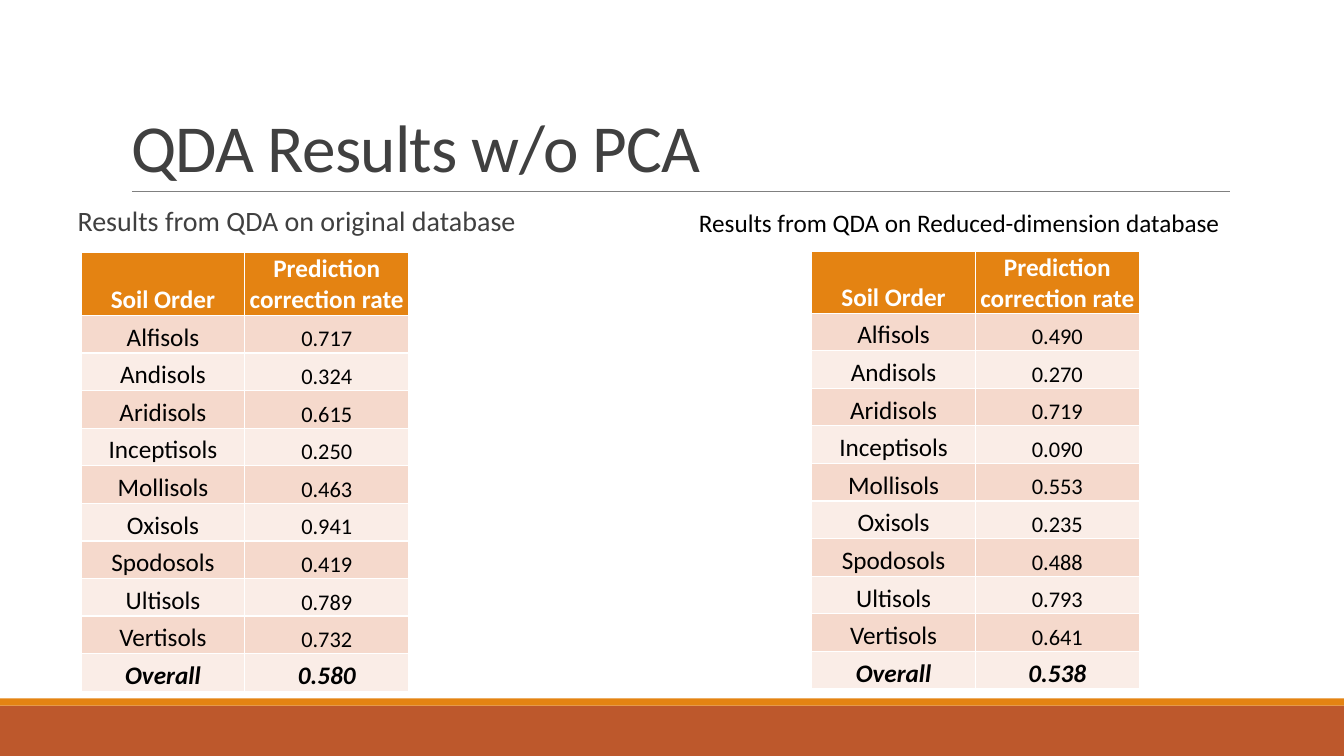
from lxml import etree
from pptx import Presentation
from pptx.dml.color import RGBColor
from pptx.enum.shapes import MSO_CONNECTOR, MSO_SHAPE
from pptx.enum.text import MSO_ANCHOR, MSO_AUTO_SIZE, PP_ALIGN
from pptx.oxml.ns import qn
from pptx.util import Pt

RECTANGLE = MSO_SHAPE.RECTANGLE
STRAIGHT = MSO_CONNECTOR.STRAIGHT
BOTTOM, TOP = MSO_ANCHOR.BOTTOM, MSO_ANCHOR.TOP
LEFT, CENTER = PP_ALIGN.LEFT, PP_ALIGN.CENTER
NO_AUTOFIT, GROW = MSO_AUTO_SIZE.NONE, MSO_AUTO_SIZE.SHAPE_TO_FIT_TEXT

SLIDE_WIDTH, SLIDE_HEIGHT = 960, 540
ORANGE, RUST, GRAY, DARK = "E48312", "BD582C", "808080", "404040"
WHITE, BLACK = "FFFFFF", "000000"
BANDS = ["F5D9CC", "FAEDE7"]

HEADINGS = ["Soil Order", "Prediction correction rate"]
SOIL_ORDERS = ["Alfisols", "Andisols", "Aridisols", "Inceptisols", "Mollisols",
               "Oxisols", "Spodosols", "Ultisols", "Vertisols", "Overall"]
FULL_RATES = ["0.717", "0.324", "0.615", "0.250", "0.463",
              "0.941", "0.419", "0.789", "0.732", "0.580"]
REDUCED_RATES = ["0.490", "0.270", "0.719", "0.090", "0.553",
                 "0.235", "0.488", "0.793", "0.641", "0.538"]


def rgb(color):
    return RGBColor.from_string(color)


def place(shape, left, top, width, height):
    shape.left, shape.top = Pt(left), Pt(top)
    shape.width, shape.height = Pt(width), Pt(height)


def style(paragraph, size, color, bold=False, italic=False):
    font = paragraph.font
    font.name, font.size = "Calibri", Pt(size)
    font.bold, font.italic = bold, italic
    font.color.rgb = rgb(color)


def add_band(slide, top, height, color):
    band = slide.shapes.add_shape(
        RECTANGLE, 0, Pt(top), Pt(SLIDE_WIDTH), Pt(height))
    band.shadow.inherit = False
    band.fill.solid()
    band.fill.fore_color.rgb = rgb(color)
    band.line.fill.background()


def add_rule(slide, left, right, y):
    rule = slide.shapes.add_connector(STRAIGHT, Pt(left), Pt(y), Pt(right), Pt(y))
    rule.line.color.rgb = rgb(GRAY)
    rule.line.width = Pt(0.5)
    etree.SubElement(rule._element.spPr, qn("a:effectLst"))


def fill_title(title, text):
    place(title, 86.4, 22.3, 792, 114.5)
    frame = title.text_frame
    frame.text = text
    frame.auto_size = NO_AUTOFIT
    frame.vertical_anchor = BOTTOM
    heading = frame.paragraphs[0]
    heading.alignment = LEFT
    heading.line_spacing = 0.85
    style(heading, 48, DARK)
    heading.runs[0].font._element.set("spc", "-50")


def fill_body(body, text):
    place(body, 48.2, 144.7, 792, 316.8)
    frame = body.text_frame
    frame.text = text
    frame.auto_size = NO_AUTOFIT
    frame.vertical_anchor = TOP
    frame.margin_left = frame.margin_right = 0
    caption = frame.paragraphs[0]
    caption.line_spacing = 0.9
    caption.space_before, caption.space_after = Pt(12), Pt(2)
    style(caption, 20, DARK)
    properties = caption._p.get_or_add_pPr()
    properties.set("marL", str(Pt(7.2)))
    properties.set("indent", str(Pt(-7.2)))
    bullet = etree.Element(qn("a:buChar"), char=" ")
    bullet_color = etree.Element(qn("a:buClr"))
    etree.SubElement(bullet_color, qn("a:srgbClr"), val=ORANGE)
    position = properties.index(properties.find(qn("a:defRPr")))
    properties.insert(position, bullet)
    properties.insert(position, bullet_color)


def add_caption(slide, text, left, top, width, height):
    caption = slide.shapes.add_textbox(Pt(left), Pt(top), Pt(width), Pt(height))
    frame = caption.text_frame
    frame.word_wrap = False
    frame.auto_size = GROW
    frame.text = text
    style(frame.paragraphs[0], 18, BLACK)


def fill_cell(cell, text, fill, size, color, bold=False, italic=False):
    cell.text = text
    cell.vertical_anchor = BOTTOM
    cell.margin_left = cell.margin_right = cell.margin_top = Pt(0.75)
    cell.margin_bottom = 0
    cell.fill.solid()
    cell.fill.fore_color.rgb = rgb(fill)
    paragraph = cell.text_frame.paragraphs[0]
    paragraph.alignment = CENTER
    style(paragraph, size, color, bold, italic)


def add_rate_table(slide, rates, left, top):
    header_height, row_height, column_width = 36.7, 26.85, 117
    row_count = len(rates) + 1
    table = slide.shapes.add_table(
        row_count, 2, Pt(left), Pt(top), Pt(2 * column_width),
        Pt(header_height + len(rates) * row_height)).table
    for column in table.columns:
        column.width = Pt(column_width)
    for row in table.rows:
        row.height = Pt(row_height)
    table.rows[0].height = Pt(header_height)
    for column, heading in enumerate(HEADINGS):
        fill_cell(table.cell(0, column), heading, ORANGE, 18, WHITE, bold=True)
    for index, (order, rate) in enumerate(zip(SOIL_ORDERS, rates)):
        overall = order == "Overall"
        band = BANDS[index % 2]
        rate_size = 18 if overall else 16
        fill_cell(table.cell(index + 1, 0), order, band, 18, BLACK, overall, overall)
        fill_cell(table.cell(index + 1, 1), rate, band, rate_size, BLACK, overall, overall)


def main():
    presentation = Presentation()
    presentation.slide_width = Pt(SLIDE_WIDTH)
    presentation.slide_height = Pt(SLIDE_HEIGHT)
    slide = presentation.slides.add_slide(presentation.slide_layouts[1])
    add_band(slide, 504, 36, RUST)
    add_band(slide, 498.8, 5.2, ORANGE)
    add_rule(slide, 94.3, 878.9, 136.8)
    fill_title(slide.shapes.title, "QDA Results w/o PCA")
    fill_body(slide.placeholders[1], "Results from QDA on original database")
    add_rate_table(slide, FULL_RATES, 57.9, 180.6)
    add_caption(slide, "Results from QDA on Reduced-dimension database",
                492.2, 144.7, 391, 29)
    add_rate_table(slide, REDUCED_RATES, 579.8, 179.7)
    presentation.save("out.pptx")


if __name__ == "__main__":
    main()
